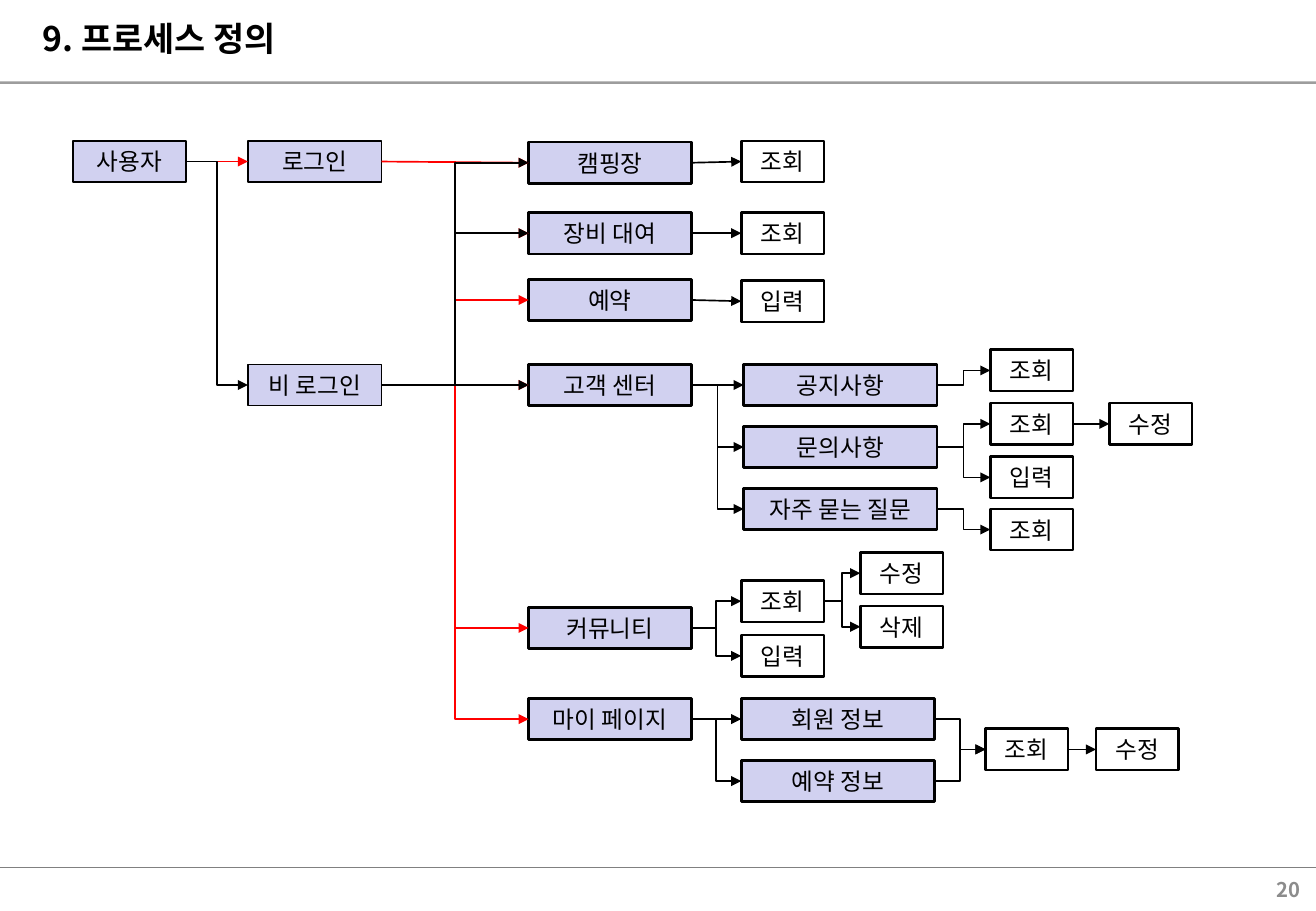
"""Builds the process definition slide for a camping site service."""
from lxml import etree
from pptx import Presentation, util as u
from pptx.dml import color as dml
from pptx.enum import shapes, text
from pptx.oxml import ns

EMU_PER_PX = 9144
WIDTH, HEIGHT = 1083, 750
BOX_HEIGHT = 34
RIGHT_SITE, LEFT_SITE = 3, 1
FONT = "Noto Sans CJK KR"
BLACK, RED, GRAY, LILAC = "000000", "FF0000", "808080", "D1D1F0"

COLUMNS = [
    (60, 93, LILAC, 1, [("user", "사용자", 116)]),
    (204, 110, LILAC, 1, [("login", "로그인", 116), ("guest", "비 로그인", 300)]),
    (435, 134, LILAC, 1.5, [
        ("camp", "캠핑장", 117), ("rental", "장비 대여", 175), ("booking", "예약", 230),
        ("support", "고객 센터", 300), ("community", "커뮤니티", 500),
        ("my page", "마이 페이지", 575)]),
    (612, 159, LILAC, 1.5, [
        ("notice", "공지사항", 300), ("inquiry", "문의사항", 351), ("faq", "자주 묻는 질문", 402)]),
    (610, 159, LILAC, 1.5, [("member", "회원 정보", 575), ("my booking", "예약 정보", 626)]),
    (610, 68, None, 1.5, [
        ("camp view", "조회", 116), ("rental view", "조회", 175), ("booking add", "입력", 231),
        ("post view", "조회", 478), ("post add", "입력", 523)]),
    (708, 68, None, 1.5, [("post edit", "수정", 455), ("post delete", "삭제", 499)]),
    (815, 68, None, 1.5, [
        ("notice view", "조회", 288), ("inquiry view", "조회", 332),
        ("inquiry add", "입력", 376), ("faq view", "조회", 419)]),
    (913, 68, None, 1.5, [("inquiry edit", "수정", 332)]),
    (811, 68, None, 1.5, [("my view", "조회", 600)]),
    (902, 68, None, 1.5, [("my edit", "수정", 600)]),
]

FLOWS = [
    (RED, "user", ["login"]),
    (RED, "login", ["camp", "rental", "booking", "support", "community", "my page"]),
    (BLACK, "user", ["guest"]),
    (BLACK, "guest", ["camp", "rental", "support"]),
    (BLACK, "camp", ["camp view"]),
    (BLACK, "rental", ["rental view"]),
    (BLACK, "booking", ["booking add"]),
    (BLACK, "support", ["notice", "inquiry", "faq"]),
    (BLACK, "notice", ["notice view"]),
    (BLACK, "inquiry", ["inquiry view", "inquiry add"]),
    (BLACK, "inquiry view", ["inquiry edit"]),
    (BLACK, "faq", ["faq view"]),
    (BLACK, "community", ["post view", "post add"]),
    (BLACK, "post view", ["post edit", "post delete"]),
    (BLACK, "my page", ["member", "my booking"]),
    (BLACK, "member", ["my view"]),
    (BLACK, "my booking", ["my view"]),
    (BLACK, "my view", ["my edit"]),
]


def px(length):
    return u.Emu(length * EMU_PER_PX)


def rgb(value):
    return dml.RGBColor.from_string(value)


def write(frame, words, size=14, color=BLACK, bold=False, align="CENTER",
          anchor="MIDDLE", inset=3):
    frame.word_wrap = True
    frame.auto_size = text.MSO_AUTO_SIZE.NONE
    frame.vertical_anchor = getattr(text.MSO_ANCHOR, anchor)
    frame.margin_top = frame.margin_bottom = px(inset)
    frame.margin_left = frame.margin_right = px(10)
    paragraph = frame.paragraphs[0]
    paragraph.alignment = getattr(text.PP_ALIGN, align)
    run = paragraph.add_run()
    run.text = words
    font = run.font
    font.name, font.size, font.bold = FONT, u.Pt(size), bold
    font.color.rgb = rgb(color)
    properties = run._r.get_or_add_rPr()
    etree.SubElement(properties, ns.qn("a:ea"), typeface=FONT)


class Board:
    def __init__(self, presentation):
        self.slide = presentation.slides.add_slide(presentation.slide_layouts[5])
        self.boxes = {}

    def title(self, words, left, top, width, height):
        shape = self.slide.shapes.title
        shape.left, shape.top = px(left), px(top)
        shape.width, shape.height = px(width), px(height)
        write(shape.text_frame, words, size=20, bold=True, align="LEFT", inset=0)

    def label(self, words, left, top, width, height, **style):
        shape = self.slide.shapes.add_textbox(px(left), px(top), px(width), px(height))
        write(shape.text_frame, words, **style)

    def box(self, name, words, left, top, width, fill, weight):
        shape = self.slide.shapes.add_shape(
            shapes.MSO_SHAPE.RECTANGLE, px(left), px(top), px(width), px(BOX_HEIGHT))
        shape.shadow.inherit = False
        if fill:
            shape.fill.solid()
            shape.fill.fore_color.rgb = rgb(fill)
        else:
            shape.fill.background()
        shape.line.color.rgb = rgb(BLACK)
        shape.line.width = u.Pt(weight)
        write(shape.text_frame, words)
        self.boxes[name] = shape

    def line(self, start, end, color, weight, kind="STRAIGHT"):
        points = [px(length) for length in (*start, *end)]
        connector = self.slide.shapes.add_connector(
            getattr(shapes.MSO_CONNECTOR, kind), *points)
        connector.line.color.rgb = rgb(color)
        connector.line.width = u.Pt(weight)
        etree.SubElement(connector.element.spPr, ns.qn("a:effectLst"))
        return connector

    def rule(self, y, weight, opacity=100):
        connector = self.line((0, y), (WIDTH, y), GRAY, weight)
        tone = connector.element.spPr.find(".//" + ns.qn("a:srgbClr"))
        etree.SubElement(tone, ns.qn("a:alpha"), val=str(opacity * 1000))

    def arrow(self, source, target, color):
        first, second = self.boxes[source], self.boxes[target]
        kind = "STRAIGHT" if abs(first.top - second.top) <= px(1) else "ELBOW"
        connector = self.line((0, 0), (0, 0), color, 1, kind)
        connector.begin_connect(first, RIGHT_SITE)
        connector.end_connect(second, LEFT_SITE)
        outline = connector.element.spPr.find(ns.qn("a:ln"))
        etree.SubElement(outline, ns.qn("a:tailEnd"), type="triangle")


def main():
    presentation = Presentation()
    presentation.slide_width, presentation.slide_height = px(WIDTH), px(HEIGHT)
    board = Board(presentation)
    board.rule(714, 0.75)
    board.rule(68, 1.5, opacity=76)
    board.title("9. 프로세스 정의", 25, 9, 1043, 45)
    board.label("20", 836, 717, 244, 31, size=12, color="8C8C8C", bold=True, align="RIGHT")
    for left, width, fill, weight, nodes in COLUMNS:
        for name, words, top in nodes:
            board.box(name, words, left, top, width, fill, weight)
    for color, source, targets in FLOWS:
        for target in targets:
            board.arrow(source, target, color)
    presentation.save("out.pptx")


if __name__ == "__main__":
    main()
